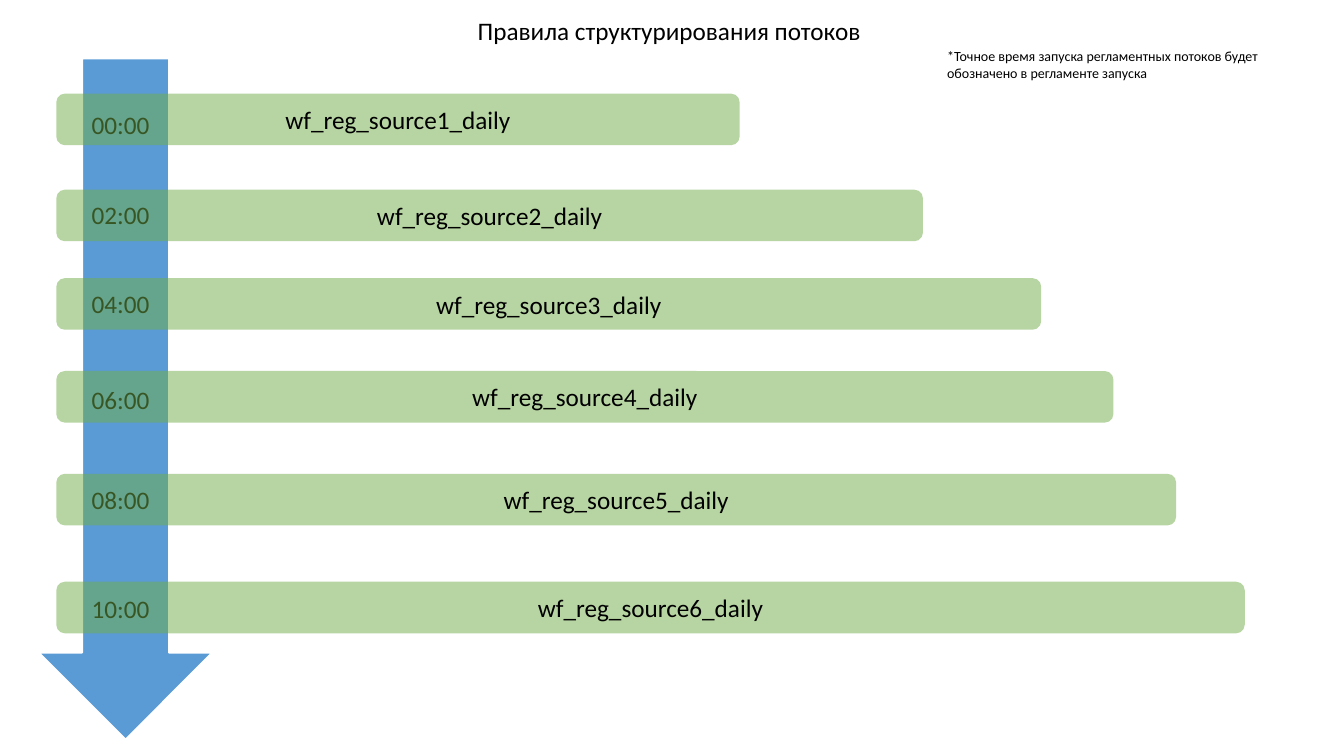
from lxml import etree
from pptx import Presentation
from pptx.dml.color import RGBColor
from pptx.enum.shapes import MSO_SHAPE
from pptx.enum.text import MSO_ANCHOR, PP_ALIGN
from pptx.oxml.ns import qn
from pptx.util import Cm, Pt

DOWN_ARROW, ROUNDED = MSO_SHAPE.DOWN_ARROW, MSO_SHAPE.ROUNDED_RECTANGLE
TOP, MIDDLE = MSO_ANCHOR.TOP, MSO_ANCHOR.MIDDLE
LEFT, CENTER = PP_ALIGN.LEFT, PP_ALIGN.CENTER

FONT = "Calibri"
COLORS = {"text": "000000", "arrow": "5B9BD5", "edge": "FFFFFF", "flow": "70AD47"}

TITLE = "Правила структурирования потоков"
NOTE = "*Точное время запуска регламентных потоков будет обозначено в регламенте запуска"

# Per flow, in cm: top of the bar, width of the bar, top of the time label
FLOWS = [
    (2.36, 17.22, 2.62),
    (4.78, 21.84, 4.9),
    (7.01, 24.82, 7.14),
    (9.35, 26.64, 9.55),
    (11.94, 28.22, 12.07),
    (14.66, 29.95, 14.83),
]
HOURS_BETWEEN = 2
BAR_LEFT, BAR_HEIGHT = 1.42, 1.3
TIME_LEFT, TIME_WIDTH, LINE_HEIGHT = 2.06, 2.18, 1.02


def write(shape, text, size=18, align=LEFT, anchor=TOP, wrap=True):
    """Put one formatted paragraph into a shape."""
    frame = shape.text_frame
    frame.word_wrap = wrap
    frame.vertical_anchor = anchor
    para = frame.paragraphs[0]
    para.alignment = align
    span = para.add_run()
    span.text = text
    span.font.name = FONT
    span.font.size = Pt(size)
    span.font.color.rgb = RGBColor.from_string(COLORS["text"])


def add_text(page, area, text, **style):
    """Add a text box; area is left, top, width, height in cm."""
    box = page.shapes.add_textbox(*map(Cm, area))
    write(box, text, **style)


def add_block(page, kind, area, color, opacity=100):
    """Add a filled shape without outline or shadow."""
    block = page.shapes.add_shape(kind, *map(Cm, area))
    block.shadow.inherit = False
    block.fill.solid()
    block.fill.fore_color.rgb = RGBColor.from_string(COLORS[color])
    block.line.fill.background()
    if opacity < 100:
        tint = block.fill._xPr.find(qn("a:solidFill"))[0]
        etree.SubElement(tint, qn("a:alpha")).set("val", str(opacity * 1000))
    return block


deck = Presentation()
deck.slide_width, deck.slide_height = Cm(33.87), Cm(19.05)
page = deck.slides.add_slide(deck.slide_layouts[6])

add_text(page, (11.79, 0.25, 10.29, LINE_HEIGHT), TITLE, wrap=False)

arrow = add_block(page, DOWN_ARROW, (0.97, 1.47, 4.39, 17.17), "arrow")
arrow.line.color.rgb = RGBColor.from_string(COLORS["edge"])
arrow.line.width = Pt(1.5)

for index, (_, _, time_top) in enumerate(FLOWS):
    add_text(page, (TIME_LEFT, time_top, TIME_WIDTH, LINE_HEIGHT),
             f"{index * HOURS_BETWEEN:02}:00")

for number, (bar_top, bar_width, _) in enumerate(FLOWS, start=1):
    bar = add_block(page, ROUNDED, (BAR_LEFT, bar_top, bar_width, BAR_HEIGHT),
                    "flow", opacity=50)
    write(bar, f"wf_reg_source{number}_daily", align=CENTER, anchor=MIDDLE)

add_text(page, (23.62, 1.07, 9.93, 1.12), NOTE, size=10)

deck.save("out.pptx")
